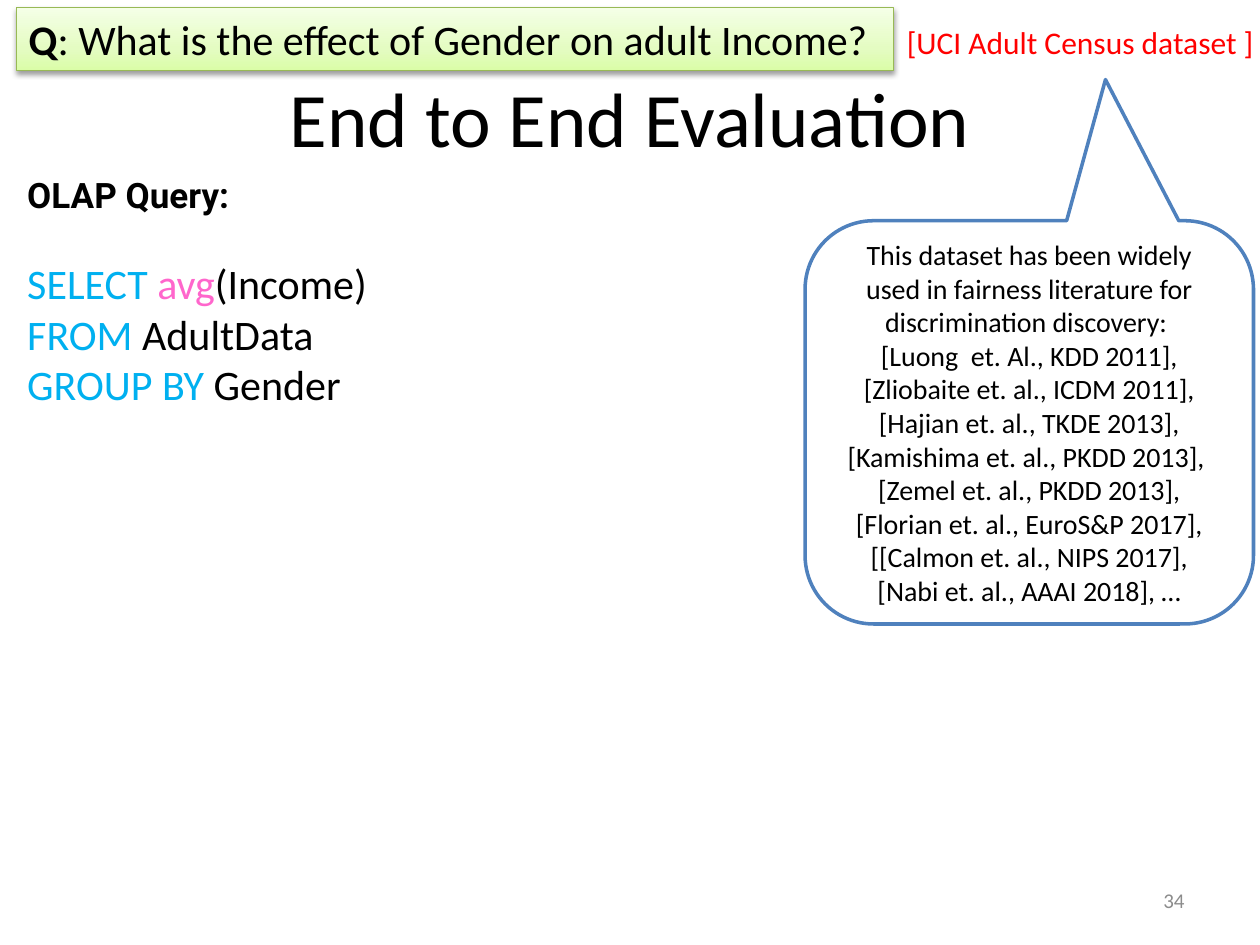
from copy import deepcopy

from lxml import etree
from pptx import Presentation
from pptx import util as u
from pptx.dml.color import RGBColor
from pptx.enum import shapes, text
from pptx.oxml.ns import qn

BLACK = RGBColor(0, 0, 0)
GREY = RGBColor(0x8C, 0x8C, 0x8C)
RED = RGBColor(0xFF, 0, 0)
CYAN = RGBColor(0, 0xB0, 0xF0)
PINK = RGBColor(0xFF, 0x66, 0xCC)
BLUE = RGBColor(0x4F, 0x81, 0xBD)
GREEN = RGBColor(0x98, 0xB9, 0x55)
GREENS = [
    (0, RGBColor(0xDA, 0xFD, 0xA7)),
    (0.35, RGBColor(0xE4, 0xFC, 0xC2)),
    (1, RGBColor(0xF5, 0xFF, 0xE7)),
]

TITLE = "End to End Evaluation"
QUESTION = [("Q", BLACK, True),
            (": What is the effect of Gender on adult Income?", BLACK, False)]
DATASET = "[UCI Adult Census dataset ]"
QUERY_HEADING = "OLAP Query:"
QUERY = [
    [("SELECT ", CYAN, False), ("avg", PINK, False), ("(Income)", BLACK, False)],
    [("FROM ", CYAN, False), ("AdultData", BLACK, False)],
    [("GROUP BY ", CYAN, False), ("Gender", BLACK, False)],
]
LITERATURE = [
    "This dataset has been widely used in fairness literature for discrimination discovery: ",
    "[Luong  et. Al., KDD 2011],",
    "[Zliobaite et. al., ICDM 2011],",
    "[Hajian et. al., TKDE 2013], [Kamishima et. al., PKDD 2013], ",
    "[Zemel et. al., PKDD 2013],",
    "[Florian et. al., EuroS&P 2017],",
    "[[Calmon et. al., NIPS 2017],",
    "[Nabi et. al., AAAI 2018], …",
]
PAGE = "34"


def cm(*lengths):
    return [u.Cm(length) for length in lengths]


def write(frame, lines, size, align=text.PP_ALIGN.LEFT,
          anchor=text.MSO_ANCHOR.MIDDLE, wrap=True, color=BLACK):
    frame.word_wrap = wrap
    frame.vertical_anchor = anchor
    for i, line in enumerate(lines):
        paragraph = frame.paragraphs[0] if i == 0 else frame.add_paragraph()
        paragraph.alignment = align
        paragraph.font.size = u.Pt(size)
        paragraph.font.name = "Calibri"
        if isinstance(line, str):
            paragraph.font.color.rgb = color
            paragraph.add_run().text = line
            continue
        for words, run_color, bold in line:
            run = paragraph.add_run()
            run.text = words
            run.font.color.rgb = run_color
            run.font.bold = bold


def add_soft_shadow(shape):
    shape.shadow.inherit = False
    effects = shape._element.spPr.find(qn("a:effectLst"))
    shadow = etree.SubElement(effects, qn("a:outerShdw"), blurRad=str(u.Pt(3.1)),
                              dist=str(u.Pt(1.6)), dir="5400000", rotWithShape="0")
    color = etree.SubElement(shadow, qn("a:srgbClr"), val="000000")
    etree.SubElement(color, qn("a:alpha"), val="38000")


def fill_gradient(shape, colors):
    shape.fill.gradient()
    shape.fill.gradient_angle = 90
    first = shape._element.spPr.find(".//" + qn("a:gs"))
    first.addnext(deepcopy(first))
    for stop, (position, color) in zip(shape.fill.gradient_stops, colors):
        stop.position = position
        stop.color.rgb = color


prs = Presentation()
prs.slide_width, prs.slide_height = cm(25.4, 19.05)
slide = prs.slides.add_slide(prs.slide_layouts[5])

title = slide.shapes.title
title.left, title.top, title.width, title.height = cm(1.27, 0.76, 22.86, 3.18)
write(title.text_frame, [TITLE], 44, text.PP_ALIGN.CENTER)

page = slide.shapes.add_textbox(*cm(18.2, 17.65, 5.93, 1.01))
write(page.text_frame, [PAGE], 12, text.PP_ALIGN.RIGHT, color=GREY)

query = slide.shapes.add_textbox(*cm(0.3, 3.35, 7.37, 5.05))
write(query.text_frame, [QUERY_HEADING] + QUERY, 24)
heading, select = query.text_frame.paragraphs[:2]
heading.font.name = "Roboto"
heading.font.size = u.Pt(20)
heading.font.bold = True
select.space_before = u.Pt(24)

dataset = slide.shapes.add_textbox(*cm(18.03, 0.33, 7.59, 1.02))
write(dataset.text_frame, [DATASET], 18, anchor=text.MSO_ANCHOR.TOP,
      wrap=False, color=RED)

question = slide.shapes.add_shape(shapes.MSO_SHAPE.RECTANGLE,
                                  *cm(0.33, 0.15, 17.68, 1.28))
fill_gradient(question, GREENS)
question.line.color.rgb = GREEN
question.line.width = u.Pt(0.75)
add_soft_shadow(question)
write(question.text_frame, [QUESTION], 24, anchor=text.MSO_ANCHOR.TOP, wrap=False)

literature = slide.shapes.add_shape(shapes.MSO_SHAPE.ROUNDED_RECTANGULAR_CALLOUT,
                                    *cm(16.23, 4.45, 9.04, 8.13))
for i, adjustment in enumerate((0.17, -0.85, 0.17)):
    literature.adjustments[i] = adjustment
literature.fill.background()
literature.line.color.rgb = BLUE
literature.line.width = u.Pt(2)
literature.shadow.inherit = False
write(literature.text_frame, LITERATURE, 16, text.PP_ALIGN.CENTER)

prs.save("out.pptx")
